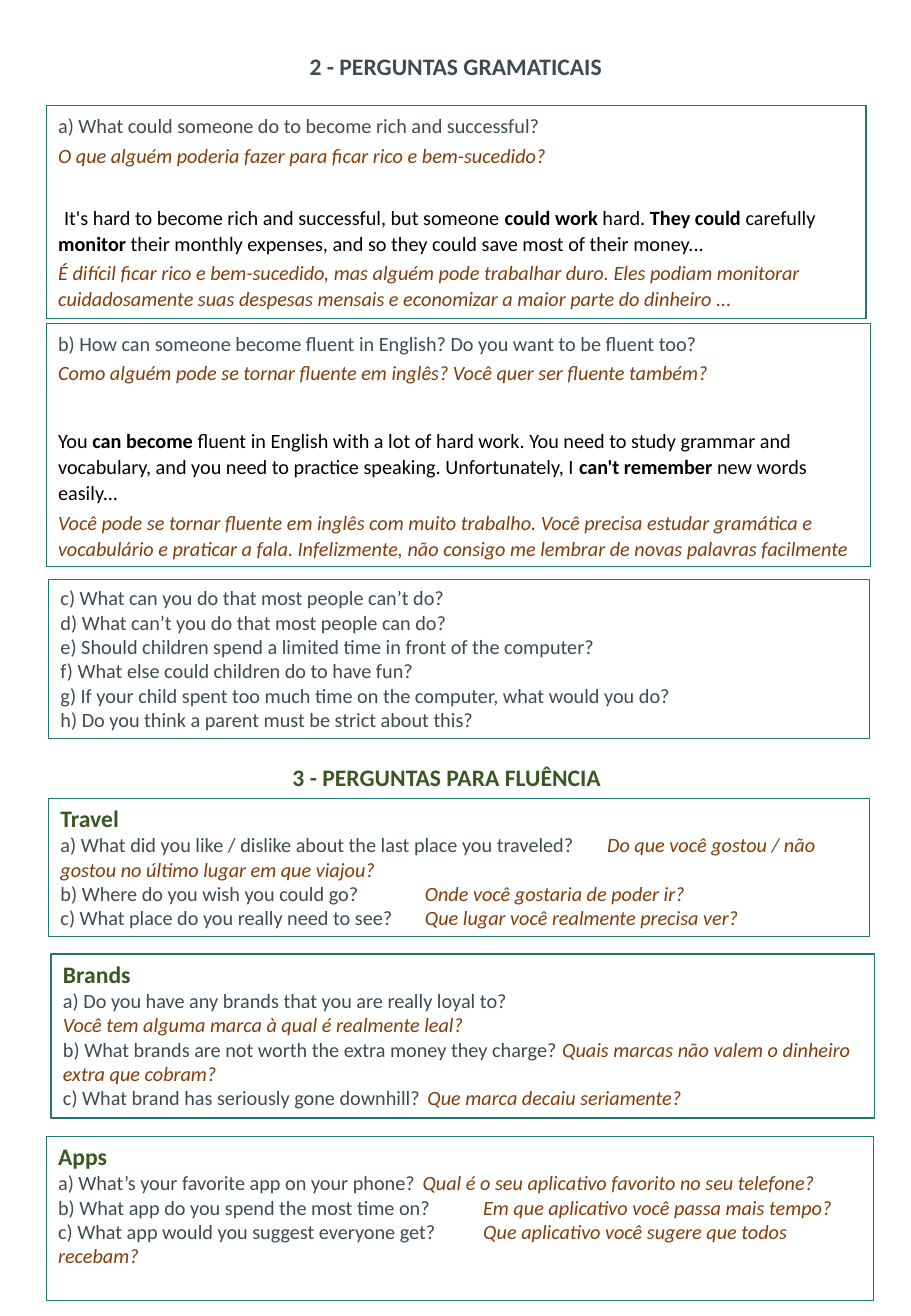
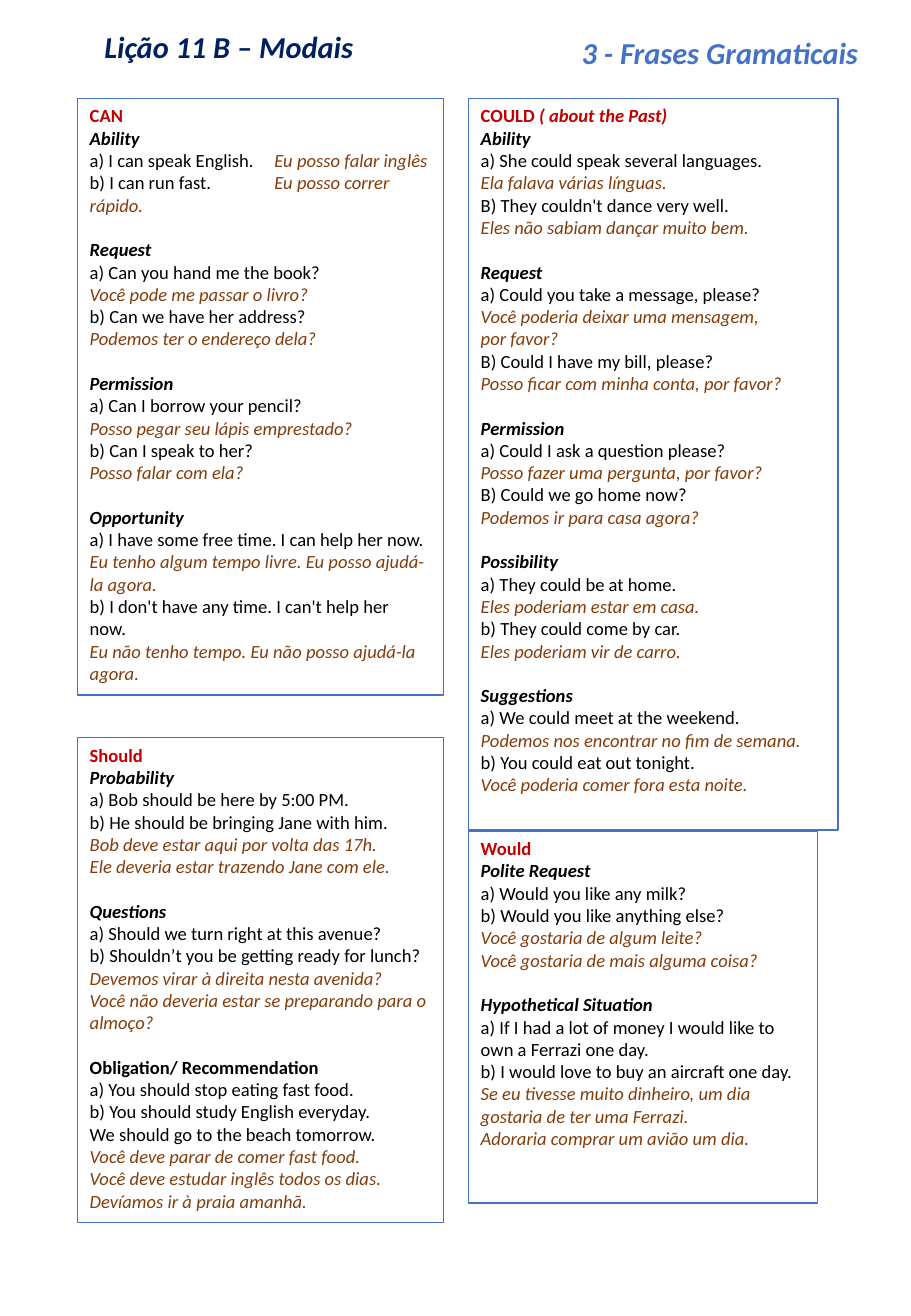
from dataclasses import dataclass

from lxml import etree
from pptx import Presentation
from pptx.dml.color import RGBColor
from pptx.enum.shapes import MSO_SHAPE
from pptx.enum.text import MSO_ANCHOR, PP_ALIGN
from pptx.oxml.ns import qn
from pptx.util import Inches, Pt

RECTANGLE = MSO_SHAPE.RECTANGLE
TOP = MSO_ANCHOR.TOP
LEFT = PP_ALIGN.LEFT
NBSP = chr(160)


@dataclass(frozen=True)
class Style:
    size: float
    color: str
    bold: bool = False
    italic: bool = False


class Theme:
    font = "Calibri"
    black, slate, brown = "000000", "3D4C53", "843C0B"
    green, red, navy, blue, teal = "385723", "C00000", "002060", "4472C4", "1F7872"
    border = 0.75
    styles = {
        "section": Style(14, slate, bold=True),
        "heading": Style(14, green, bold=True),
        "lesson": Style(18, navy, bold=True, italic=True),
        "phrases": Style(18, blue, bold=True, italic=True),
        "ask": Style(12, slate),
        "ask_pt": Style(12, brown, italic=True),
        "answer": Style(12, black),
        "strong": Style(12, black, bold=True),
        "modal": Style(11, red, bold=True),
        "modal_note": Style(11, red, bold=True, italic=True),
        "use": Style(11, black, bold=True, italic=True),
        "use_plain": Style(11, black, bold=True),
        "en": Style(11, black),
        "pt": Style(11, brown, italic=True),
    }
    gap_before = ("answer", "use", "use_plain")


GRAMMAR_RICH = [
    ("ask", "a) What could someone do to become rich and successful?"),
    ("ask_pt", "O que alguém poderia fazer para ficar rico e bem-sucedido?"),
    ("answer", "It's hard to become rich and successful, but someone ",
     "strong", "could work", "answer", " hard. ", "strong", "They could ",
     "answer", "carefully", "strong", " monitor",
     "answer", " their monthly expenses, and so they could save most of their money..."),
    ("ask_pt", "É difícil ficar rico e bem-sucedido, mas alguém pode trabalhar duro. "
     "Eles podiam monitorar cuidadosamente suas despesas mensais e economizar "
     "a maior parte do dinheiro ..."),
]
GRAMMAR_FLUENT = [
    ("ask", "b) How can someone become fluent in English? Do you want to be fluent too?"),
    ("ask_pt", "Como alguém pode se tornar fluente em inglês? Você quer ser fluente também?"),
    ("answer", "You ", "strong", "can become",
     "answer", " fluent in English with a lot of hard work. You need to study grammar "
     "and vocabulary, and you need to practice speaking. Unfortunately, I ",
     "strong", "can't remember", "answer", " new words easily..."),
    ("ask_pt", "Você pode se tornar fluente em inglês com muito trabalho. Você precisa "
     "estudar gramática e vocabulário e praticar a fala. Infelizmente, não consigo "
     "me lembrar de novas palavras facilmente"),
]
GRAMMAR_MORE = [
    ("ask", "c) What can you do that most people can’t do?"),
    ("ask", "d) What can’t you do that most people can do?"),
    ("ask", "e) Should children spend a limited time in front of the computer?"),
    ("ask", "f) What else could children do to have fun?"),
    ("ask", "g) If your child spent too much time on the computer, what would you do?"),
    ("ask", "h) Do you think a parent must be strict about this?"),
]
TRAVEL = [
    ("heading", "Travel"),
    ("ask", "a) What did you like / dislike about the last place you traveled?\t",
     "ask_pt", "Do que você gostou / não gostou no último lugar em que viajou?"),
    ("ask", "b) Where do you wish you could go?\t",
     "ask_pt", "Onde você gostaria de poder ir?"),
    ("ask", "c) What place do you really need to see?\t",
     "ask_pt", "Que lugar você realmente precisa ver?"),
]
BRANDS = [
    ("heading", "Brands"),
    ("ask", "a) Do you have any brands that you are really loyal to?"),
    ("ask_pt", "Você tem alguma marca à qual é realmente leal?"),
    ("ask", "b) What brands are not worth the extra money they charge? ",
     "ask_pt", "Quais marcas não valem o dinheiro extra que cobram?"),
    ("ask", "c) What brand has seriously gone downhill?\t",
     "ask_pt", "Que marca decaiu seriamente?"),
]
APPS = [
    ("heading", "Apps"),
    ("ask", "a) What’s your favorite app on your phone?\t",
     "ask_pt", "Qual é o seu aplicativo favorito no seu telefone?"),
    ("ask", "b) What app do you spend the most time on?\t",
     "ask_pt", "Em que aplicativo você passa mais tempo?"),
    ("ask", "c) What app would you suggest everyone get?\t",
     "ask_pt", "Que aplicativo você sugere que todos recebam?"),
]
CAN = [
    ("modal", "CAN"),
    ("use", "Ability"),
    ("en", "a) I can speak English.\t", "pt", "Eu posso falar inglês"),
    ("en", "b) I can run fast.\t", "pt", "Eu posso correr rápido."),
    ("use", "Request"),
    ("en", "a) Can you hand me the book?"),
    ("pt", "Você pode me passar o livro?"),
    ("en", "b) Can we have her address?"),
    ("pt", "Podemos ter o endereço dela?"),
    ("use", "Permission"),
    ("en", "a) Can I borrow your pencil?"),
    ("pt", "Posso pegar seu lápis emprestado?"),
    ("en", "b) Can I speak to her?"),
    ("pt", "Posso falar com ela?"),
    ("use", "Opportunity"),
    ("en", "a) I have some free time. I can help her now."),
    ("pt", "Eu tenho algum tempo livre. Eu posso ajudá-la agora."),
    ("en", f"b) I don't have any time. I can't help her{NBSP} now."),
    ("pt", "Eu não tenho tempo. Eu não posso ajudá-la agora."),
]
COULD = [
    ("modal", "COULD ", "modal_note", "( about the Past)"),
    ("use", "Ability"),
    ("en", "a) She could speak several languages."),
    ("pt", "Ela falava várias línguas."),
    ("en", "B) They couldn't dance very well."),
    ("pt", "Eles não sabiam dançar muito bem."),
    ("use", "Request"),
    ("en", "a) Could you take a message, please?"),
    ("pt", f"Você poderia deixar uma mensagem, por{NBSP}favor?"),
    ("en", "B) Could I have my bill, please?"),
    ("pt", "Posso ficar com minha conta, por favor?"),
    ("use", "Permission"),
    ("en", "a) Could I ask a question please?"),
    ("pt", "Posso fazer uma pergunta, por favor?"),
    ("en", "B) Could we go home now?"),
    ("pt", "Podemos ir para casa agora?"),
    ("use", "Possibility"),
    ("en", "a) They could be at home."),
    ("pt", "Eles poderiam estar em casa."),
    ("en", "b) They could come by car."),
    ("pt", "Eles poderiam vir de carro."),
    ("use", "Suggestions"),
    ("en", "a) We could meet at the weekend."),
    ("pt", "Podemos nos encontrar no fim de semana."),
    ("en", "b) You could eat out tonight."),
    ("pt", "Você poderia comer fora esta noite."),
]
SHOULD = [
    ("modal", "Should"),
    ("use", "Probability"),
    ("en", "a) Bob should be here by 5:00 PM."),
    ("en", "b) He should be bringing Jane with him."),
    ("pt", "Bob deve estar aqui por volta das 17h."),
    ("pt", "Ele deveria estar trazendo Jane com ele."),
    ("use", "Questions"),
    ("en", "a) Should we turn right at this avenue?"),
    ("en", "b) Shouldn’t you be getting ready for lunch?"),
    ("pt", "Devemos virar à direita nesta avenida?"),
    ("pt", "Você não deveria estar se preparando para o almoço?"),
    ("use_plain", "Obligation/ Recommendation"),
    ("en", "a) You should stop eating fast food."),
    ("en", "b) You should study English everyday."),
    ("en", "We should go to the beach tomorrow."),
    ("pt", "Você deve parar de comer fast food."),
    ("pt", "Você deve estudar inglês todos os dias."),
    ("pt", "Devíamos ir à praia amanhã."),
]
WOULD = [
    ("modal", "Would"),
    ("use", "Polite Request"),
    ("en", "a) Would you like any milk?"),
    ("en", "b) Would you like anything else?"),
    ("pt", "Você gostaria de algum leite?"),
    ("pt", "Você gostaria de mais alguma coisa?"),
    ("use", "Hypothetical Situation"),
    ("en", "a) If I had a lot of money I would like to own a Ferrazi one day."),
    ("en", "b) I would love to buy an aircraft one day."),
    ("pt", "Se eu tivesse muito dinheiro, um dia gostaria de ter uma Ferrazi."),
    ("pt", "Adoraria comprar um avião um dia."),
]


def set_font(font, style):
    font.name = Theme.font
    font.size = Pt(style.size)
    font.bold = style.bold
    font.italic = style.italic
    font.color.rgb = RGBColor.from_string(style.color)


def set_tabs(p, stops):
    tabs = etree.SubElement(p._p.get_or_add_pPr(), qn("a:tabLst"))
    for stop in stops:
        etree.SubElement(tabs, qn("a:tab"), pos=str(Inches(stop)), algn="l")


def write_runs(p, line):
    base = line[0]
    set_font(p.font, Theme.styles[base])
    for name, text in zip(line[::2], line[1::2]):
        r = p.add_run()
        r.text = text
        if name != base:
            set_font(r.font, Theme.styles[name])


def add_title(slide, at, style, text):
    tf = slide.shapes.add_textbox(*map(Inches, at)).text_frame
    tf.word_wrap = False
    write_runs(tf.paragraphs[0], (style, text))


def add_box(slide, at, color, lines, gap=13.2, tabs=(), spacing=None, after=None, indent=0):
    sp = slide.shapes.add_shape(RECTANGLE, *map(Inches, at))
    sp.shadow.inherit = False
    sp.fill.background()
    sp.line.color.rgb = RGBColor.from_string(color)
    sp.line.width = Pt(Theme.border)
    tf = sp.text_frame
    tf.word_wrap = True
    tf.vertical_anchor = TOP
    for i, line in enumerate(lines):
        p = tf.add_paragraph() if i else tf.paragraphs[0]
        p.alignment = LEFT
        if spacing:
            p.line_spacing = spacing
            p.space_after = Pt(after)
        if i > 1 and line[0] in Theme.gap_before:
            p.space_before = Pt(gap)
            p._p.get_or_add_pPr().set("indent", str(Inches(indent)))
        if "\t" in line[1]:
            set_tabs(p, tabs)
        write_runs(p, line)


def build_questions(slide):
    add_title(slide, (2.45, 0.38, 2.63, 0.34), "section", "2 - PERGUNTAS GRAMATICAIS")
    add_title(slide, (2.31, 6.23, 2.76, 0.34), "heading", "3 - PERGUNTAS PARA FLUÊNCIA")
    loose = {"spacing": 1.07, "after": 2.2}
    add_box(slide, (0.38, 0.87, 6.75, 1.75), Theme.teal, GRAMMAR_RICH,
            gap=19, indent=0.05, **loose)
    add_box(slide, (0.38, 2.66, 6.79, 2), Theme.teal, GRAMMAR_FLUENT, gap=22.6, **loose)
    for at, lines in (
        ((0.4, 4.77, 6.76, 1.31), GRAMMAR_MORE),
        ((0.4, 6.57, 6.76, 1.14), TRAVEL),
        ((0.42, 7.85, 6.78, 1.35), BRANDS),
        ((0.38, 9.35, 6.81, 1.35), APPS),
    ):
        add_box(slide, at, Theme.teal, lines, tabs=(3, 3.5, 4.5))


def build_modals(slide):
    add_title(slide, (0.76, 0.18, 2.28, 0.4), "lesson", "Lição 11 B – Modais")
    add_title(slide, (4.69, 0.23, 2.75, 0.4), "phrases", "3 - Frases Gramaticais")
    for at, lines in (
        ((0.64, 0.81, 3.01, 4.91), CAN),
        ((3.86, 0.81, 3.04, 6.02), COULD),
        ((0.64, 6.07, 3.01, 3.99), SHOULD),
        ((3.86, 6.84, 2.87, 3.06), WOULD),
    ):
        add_box(slide, at, Theme.blue, lines, tabs=(1.52,))


def main():
    prs = Presentation()
    prs.slide_width, prs.slide_height = Inches(7.5), Inches(10.83)
    for build in (build_questions, build_modals):
        build(prs.slides.add_slide(prs.slide_layouts[6]))
    prs.save("out.pptx")


if __name__ == "__main__":
    main()
